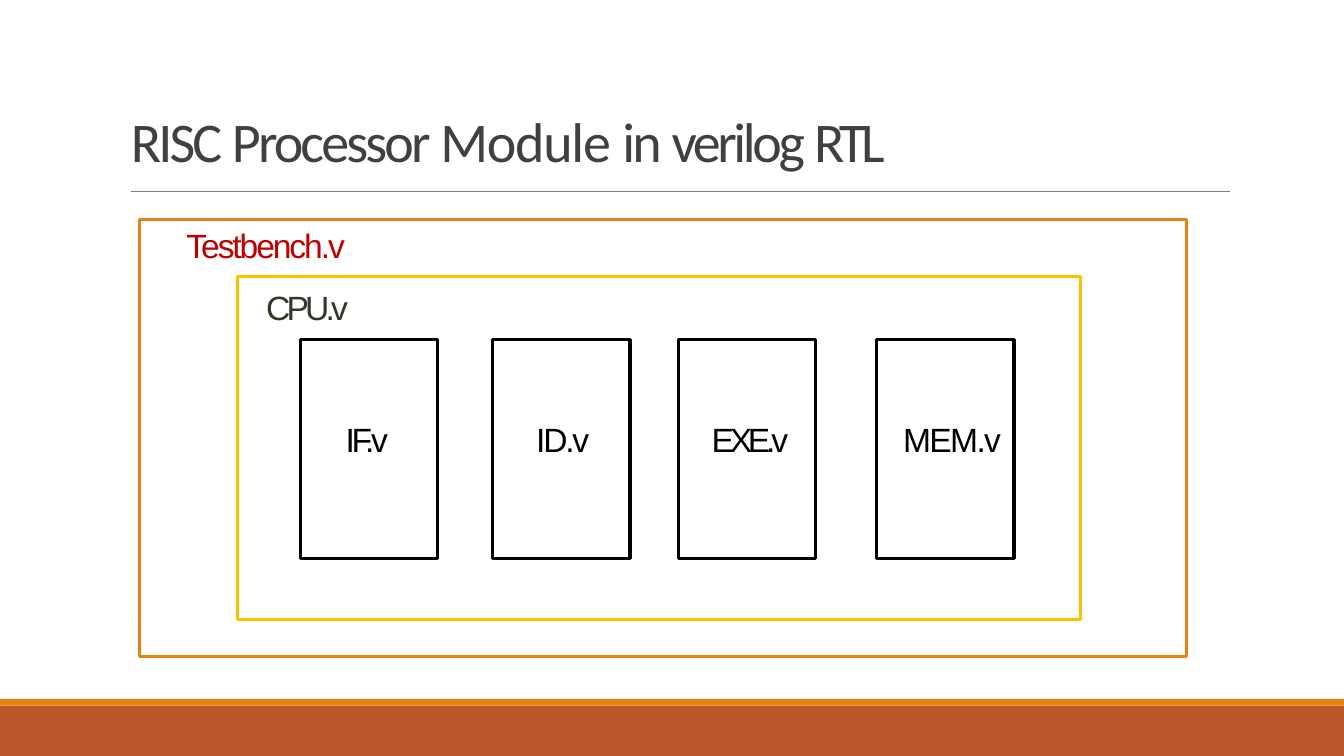
from lxml.etree import SubElement
from pptx import Presentation
from pptx.dml.color import RGBColor
from pptx.enum.shapes import MSO_CONNECTOR, MSO_SHAPE
from pptx.enum.text import MSO_ANCHOR
from pptx.oxml.ns import qn
from pptx.util import Inches, Pt

COLS, ROWS = 160, 90
CELL = Inches(1) / 12
RUST = RGBColor(0xBC, 0x57, 0x2C)
ORANGE = RGBColor(0xE3, 0x83, 0x12)
GOLD = RGBColor(0xFF, 0xC0, 0x00)
GRAY = RGBColor(0x7E, 0x7E, 0x7E)
DARK = RGBColor(0x40, 0x40, 0x40)
RED = RGBColor(0xC0, 0x00, 0x00)
OLIVE = RGBColor(0x30, 0x38, 0x29)
BLACK = RGBColor(0, 0, 0)

TITLE = [("RISC ", -2.1), ("Processor ", -2), ("Module ", -0.9),
         ("in ", -2), ("verilog ", -2.4), ("RTL", -3.6)]
STAGES = [("IF.v", -2.4, 7.44, 5.4), ("ID.v", -1.6, 30.36, 5.16),
          ("EXE.v", -3, 52.44, 3.96), ("MEM.v", -1.2, 76.08, 3.12)]


def grid(*cells):
    """Turn grid cells into slide lengths."""
    return [round(n * CELL) for n in cells]


def inner(box, left, top, width, height):
    """Return a box placed from the corner of another box."""
    return box[0] + left, box[1] + top, width, height


def rect(slide, box, fill=None, line=None):
    """Draw a plain rectangle."""
    shape = slide.shapes.add_shape(MSO_SHAPE.RECTANGLE, *grid(*box))
    shape.shadow.inherit = False
    if fill is None:
        shape.fill.background()
    else:
        shape.fill.solid()
        shape.fill.fore_color.rgb = fill
    if line is None:
        shape.line.fill.background()
    else:
        shape.line.color.rgb = line
        shape.line.width = Pt(2.28)
    return shape


def write(shape, runs, size, font, color, inset, anchor=MSO_ANCHOR.TOP):
    """Write spaced runs on one line inside a shape."""
    frame = shape.text_frame
    frame.word_wrap = True
    frame.vertical_anchor = anchor
    (frame.margin_left, frame.margin_top,
     frame.margin_right, frame.margin_bottom) = grid(*inset)
    line = frame.paragraphs[0]
    line.alignment = 1
    for text, gap in runs:
        run = line.add_run()
        run.text = text
        run.font.size = Pt(size)
        run.font.name = font
        run.font.color.rgb = color
        run._r.get_or_add_rPr().set("spc", str(round(gap * 100)))


def footer(slide, box):
    """Draw the two bands at the foot of the slide."""
    left, top, width, height = box
    thin = 0.8
    rect(slide, (left, top + thin, width, height - thin), fill=RUST)
    rect(slide, (left, top, width, thin), fill=ORANGE)


def header(slide, box):
    """Draw the title and the rule below it."""
    left, top, width, height = box
    text = slide.shapes.add_textbox(*grid(left, top, 96, 8.28))
    write(text, TITLE, 40, "Calibri", DARK, (0.12, 0.24, 0, 0))
    base = top + height
    rule = slide.shapes.add_connector(
        MSO_CONNECTOR.STRAIGHT, *grid(left + 0.12, base, left + width, base))
    rule.line.color.rgb = GRAY
    rule.line.width = Pt(0.48)
    SubElement(rule._element.spPr, qn("a:effectLst"))


def stages(slide, box):
    """Draw the four pipeline stages inside the processor."""
    for name, gap, left, pad in STAGES:
        shape = rect(slide, inner(box, left, 7.56, 16.32, 26.04), line=BLACK)
        write(shape, [(name, gap)], 24, "Arial", BLACK,
              (pad, 0, 0, 2.4), MSO_ANCHOR.MIDDLE)


def modules(slide, box):
    """Draw the nested test bench, processor and stages."""
    bench = rect(slide, box, line=ORANGE)
    write(bench, [("Testbench.v", -1.5)], 24, "Arial", RED, (5.64, 0.6, 0, 0))
    core = inner(box, 11.76, 6.72, 100.32, 40.92)
    chip = rect(slide, core, line=GOLD)
    write(chip, [("CPU.v", -2.7)], 24, "Arial", OLIVE, (3.36, 1.32, 0, 0))
    stages(slide, core)


def main():
    """Build and save the slide."""
    deck = Presentation()
    deck.slide_width, deck.slide_height = grid(COLS, ROWS)
    slide = deck.slides.add_slide(deck.slide_layouts[6])
    footer(slide, (0, 83.2, COLS, 6.8))
    header(slide, (15.48, 12.48, 130.92, 10.32))
    modules(slide, (16.56, 26.16, 124.68, 51.96))
    deck.save("out.pptx")


if __name__ == "__main__":
    main()
